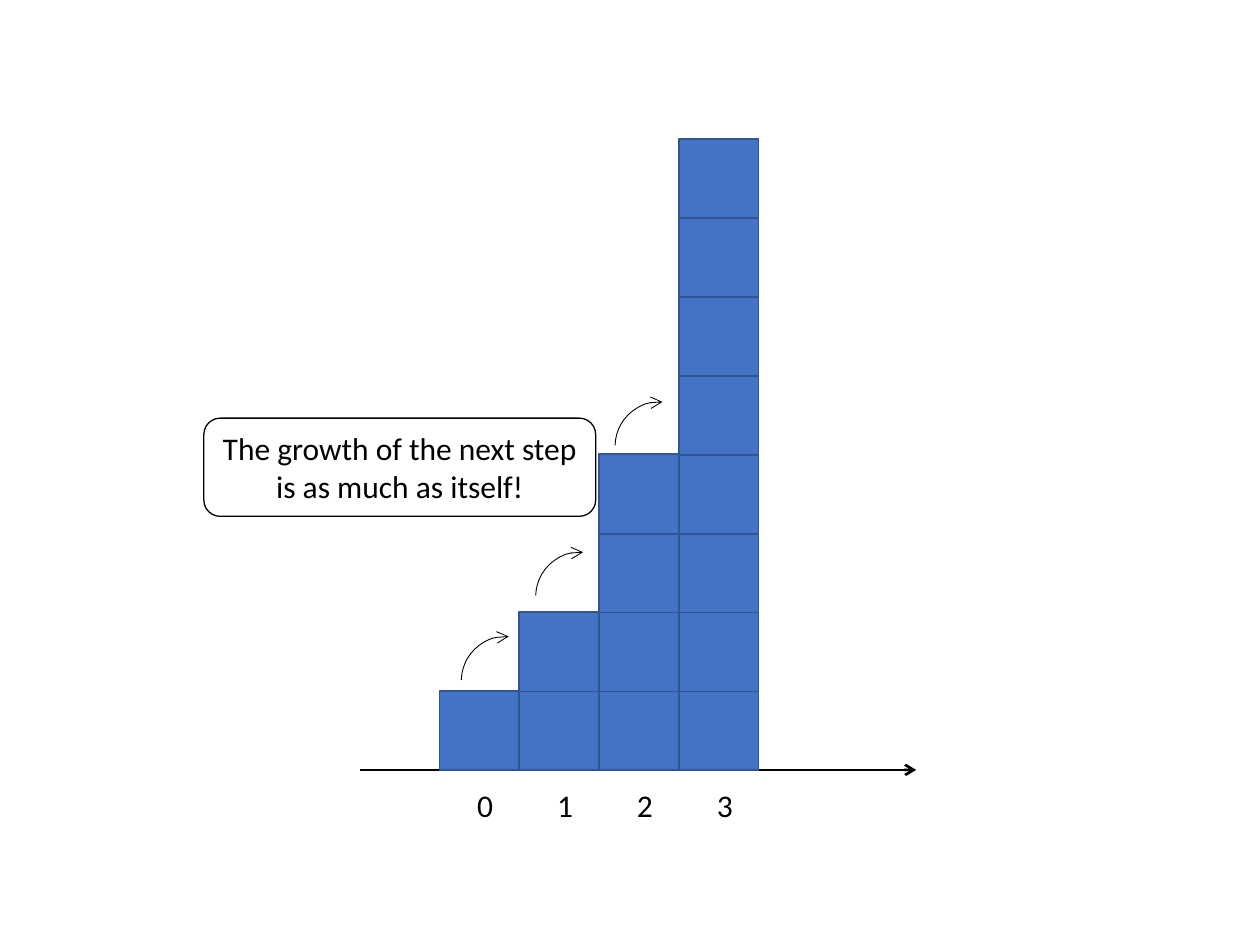
"""Build a slide showing doubling steps as stacked squares along an axis."""
from lxml.etree import SubElement
from pptx import Presentation
from pptx.dml.color import RGBColor
from pptx.enum.shapes import MSO_CONNECTOR, MSO_SHAPE
from pptx.enum.text import MSO_ANCHOR, MSO_AUTO_SIZE, PP_ALIGN
from pptx.oxml.ns import qn
from pptx.util import Cm, Pt

BLACK = RGBColor(0x00, 0x00, 0x00)
BLUE = RGBColor(0x44, 0x72, 0xC4)
DARK_BLUE = RGBColor(0x32, 0x54, 0x91)

LEFT, BASE = 8.86, 13.93
SIDE, STEP_X, STEP_Y = 1.6, 1.61, 1.59


def set_line(sp, color, width, arrow=False):
    sp.line.color.rgb = color
    sp.line.width = Pt(width)
    if arrow:
        SubElement(sp.line._get_or_add_ln(), qn("a:tailEnd"), type="arrow")


def write(tf, lines):
    tf.text = "\n".join(lines)
    tf.auto_size = MSO_AUTO_SIZE.SHAPE_TO_FIT_TEXT
    for p in tf.paragraphs:
        p.alignment = PP_ALIGN.CENTER
        p.font.size = Pt(18)
        p.font.name = "Calibri"
        p.font.color.rgb = BLACK


prs = Presentation()
prs.slide_width, prs.slide_height = Cm(25.4), Cm(19.05)
s = prs.slides.add_slide(prs.slide_layouts[6])

axis = s.shapes.add_connector(
    MSO_CONNECTOR.STRAIGHT, Cm(7.26), Cm(15.52), Cm(18.47), Cm(15.52))
set_line(axis, BLACK, 1.5, arrow=True)
SubElement(axis._element.spPr, qn("a:effectLst"))

for step in range(4):
    x = LEFT + step * STEP_X
    for level in range(2 ** step):
        sp = s.shapes.add_shape(
            MSO_SHAPE.RECTANGLE, Cm(x), Cm(BASE - level * STEP_Y), Cm(SIDE), Cm(SIDE))
        sp.shadow.inherit = False
        sp.fill.solid()
        sp.fill.fore_color.rgb = BLUE
        set_line(sp, DARK_BLUE, 1)

for step in range(4):
    label = s.shapes.add_textbox(
        Cm(LEFT + 0.51 + step * STEP_X), Cm(15.72), Cm(0.61), Cm(1.02))
    label.text_frame.word_wrap = True
    write(label.text_frame, [str(step)])

for x, y in [(9.3, 12.83), (10.8, 11.13), (12.4, 8.1)]:
    arc = s.shapes.add_shape(MSO_SHAPE.ARC, Cm(x), Cm(y), Cm(1.8), Cm(1.8))
    arc.adjustments[0] = 108.76
    arc.adjustments[1] = 164.13
    arc.shadow.inherit = False
    arc.fill.background()
    set_line(arc, BLACK, 0.5, arrow=True)

note = s.shapes.add_shape(
    MSO_SHAPE.ROUNDED_RECTANGLE, Cm(4.11), Cm(8.43), Cm(7.9), Cm(1.98))
note.shadow.inherit = False
note.fill.background()
set_line(note, BLACK, 0.75)
tf = note.text_frame
tf.word_wrap = False
tf.vertical_anchor = MSO_ANCHOR.MIDDLE
write(tf, ["The growth of the next step", "is as much as itself!"])

prs.save("out.pptx")
